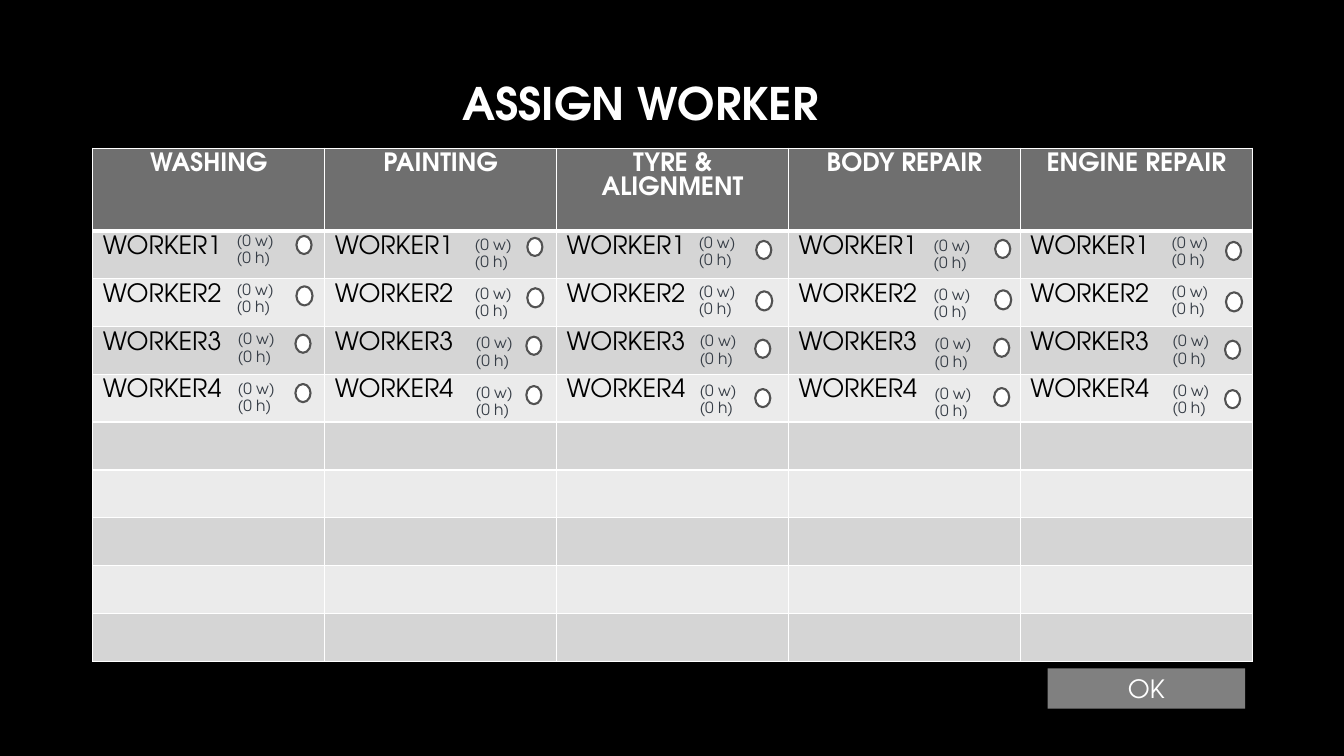
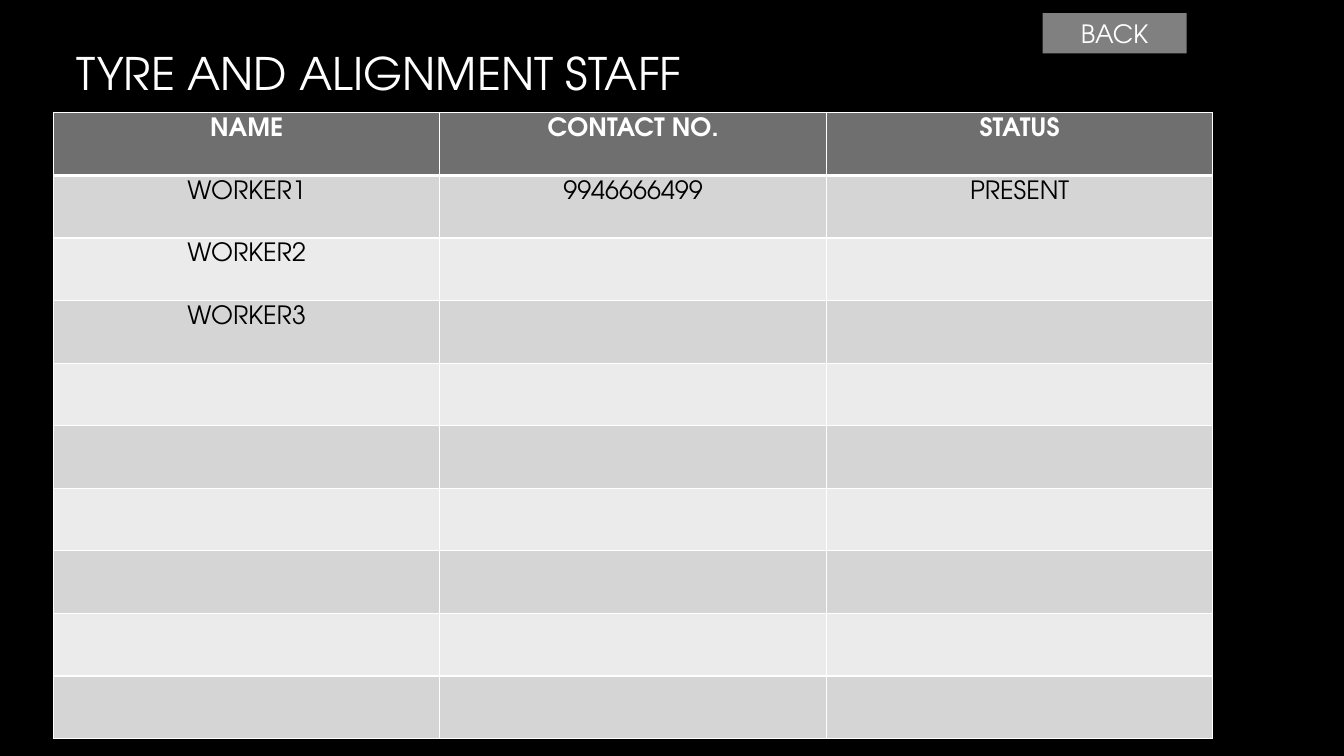
from dataclasses import dataclass

import pptx
import pptx.dml.color
import pptx.enum.shapes
import pptx.enum.text
import pptx.oxml
import pptx.oxml.ns
import pptx.util
from pptx.util import Inches

FONT = "TeX Gyre Adventor"
COLORS = {
    "background": "000000",
    "light": "FFFFFF",
    "dark": "000000",
    "header": "6F6F6F",
    "odd row": "D5D5D5",
    "even row": "EBEBEB",
    "button": "808080",
    "ring": "525252",
    "tally": "363D46",
}
ALIGN = pptx.enum.text.PP_ALIGN
MIDDLE = pptx.enum.text.MSO_ANCHOR.MIDDLE
SHAPES = pptx.enum.shapes.MSO_SHAPE


@dataclass
class Box:
    left: float
    top: float
    width: float
    height: float

    def lengths(self) -> tuple:
        return tuple(Inches(v) for v in (self.left, self.top, self.width, self.height))


@dataclass
class Grid:
    box: Box
    header_height: float
    rows: list[list[str]]
    row_count: int
    body_align: int


@dataclass
class WorkerColumn:
    """Where the tallies and the choice ring of one table column start."""
    job: str
    tally_left: float
    tally_top: float
    tally_width: float
    ring_left: float
    ring_top: float


@dataclass
class WorkerRow:
    """Offsets of one worker's marks from the column start."""
    name: str
    tally_dx: float
    tally_dy: float
    ring_dx: float
    ring_dy: float
    ring_width: float = 0.15
    ring_height: float = 0.18


COLUMNS = [
    WorkerColumn("WASHING", 2.25, 2.24, 0.87, 2.94, 2.34),
    WorkerColumn("PAINTING", 4.61, 2.28, 0.66, 5.23, 2.36),
    WorkerColumn("TYRE & ALIGNMENT", 6.83, 2.26, 0.66, 7.5, 2.39),
    WorkerColumn("BODY REPAIR", 9.16, 2.29, 0.66, 9.87, 2.38),
    WorkerColumn("ENGINE REPAIR", 11.52, 2.26, 0.66, 12.16, 2.4),
]
WORKERS = [
    WorkerRow("WORKER1", 0, 0, 0, 0),
    WorkerRow("WORKER2", 0, 0.49, 0, 0.5, 0.16, 0.19),
    WorkerRow("WORKER3", 0.01, 0.98, -0.01, 0.98),
    WorkerRow("WORKER4", 0.01, 1.47, -0.01, 1.47),
]
TALLIES = ["(0 w)", "(0 h)"]
TALLY_STEP = 0.17


def rgb(name: str) -> pptx.dml.color.RGBColor:
    return pptx.dml.color.RGBColor.from_string(COLORS[name])


def write(frame, text: str, size: float, color: str, align: int = ALIGN.LEFT,
          bold: bool = False) -> None:
    paragraph = frame.paragraphs[0]
    if text:
        paragraph.add_run().text = text
    paragraph.alignment = align
    paragraph.font.name = FONT
    paragraph.font.size = pptx.util.Pt(size)
    paragraph.font.bold = bold
    paragraph.font.color.rgb = rgb(color)


def add_titled_slide(deck, title: str, box: Box, align: int, bold: bool):
    slide = deck.slides.add_slide(deck.slide_layouts[5])
    heading = slide.shapes.title
    heading.left, heading.top, heading.width, heading.height = box.lengths()
    heading.text_frame.vertical_anchor = MIDDLE
    write(heading.text_frame, title, 32, "light", align, bold)
    return slide


def add_button(slide, label: str, box: Box) -> None:
    button = slide.shapes.add_shape(SHAPES.RECTANGLE, *box.lengths())
    button.shadow.inherit = False
    button.fill.solid()
    button.fill.fore_color.rgb = rgb("button")
    button.line.fill.background()
    button.text_frame.vertical_anchor = MIDDLE
    write(button.text_frame, label, 18, "light", ALIGN.CENTER)


def add_border(cell, side: str, points: float) -> None:
    namespace = pptx.oxml.ns.nsdecls("a")
    cell._tc.get_or_add_tcPr().append(pptx.oxml.parse_xml(
        f'<a:ln{side} {namespace} w="{int(pptx.util.Pt(points))}"><a:solidFill>'
        f'<a:srgbClr val="{COLORS["light"]}"/></a:solidFill></a:ln{side}>'))


def add_grid(slide, grid: Grid) -> None:
    column_count = len(grid.rows[0])
    table = slide.shapes.add_table(grid.row_count, column_count, *grid.box.lengths()).table
    body_height = (grid.box.height - grid.header_height) / (grid.row_count - 1)
    for column in table.columns:
        column.width = Inches(grid.box.width / column_count)
    for r, row in enumerate(table.rows):
        is_header = r == 0
        row.height = Inches(grid.header_height if is_header else body_height)
        fill = "header" if is_header else "odd row" if r % 2 else "even row"
        texts = grid.rows[r] if r < len(grid.rows) else []
        for c, cell in enumerate(row.cells):
            # The rule below the header is thicker than the others
            for side, points in (("L", 1), ("R", 1), ("T", 3 if r == 1 else 1),
                                 ("B", 3 if is_header else 1)):
                add_border(cell, side, points)
            cell.fill.solid()
            cell.fill.fore_color.rgb = rgb(fill)
            write(cell.text_frame, texts[c] if c < len(texts) else "", 18,
                  "light" if is_header else "dark",
                  ALIGN.CENTER if is_header else grid.body_align, is_header)


def add_ring(slide, box: Box) -> None:
    ring = slide.shapes.add_shape(SHAPES.FLOWCHART_CONNECTOR, *box.lengths())
    ring.shadow.inherit = False
    ring.fill.solid()
    ring.fill.fore_color.rgb = rgb("light")
    ring.line.color.rgb = rgb("ring")
    ring.line.width = pptx.util.Pt(1.5)


def add_tally(slide, text: str, box: Box) -> None:
    tally = slide.shapes.add_textbox(*box.lengths())
    tally.text_frame.word_wrap = True
    write(tally.text_frame, text, 11, "tally")


def build_assignment(deck) -> None:
    slide = add_titled_slide(deck, "ASSIGN WORKER", Box(1.25, 0.67, 10.2, 0.69),
                             ALIGN.CENTER, True)
    add_button(slide, "OK", Box(10.39, 6.63, 1.96, 0.4))
    rows = [[column.job for column in COLUMNS]]
    rows += [[worker.name] * len(COLUMNS) for worker in WORKERS]
    add_grid(slide, Grid(Box(0.92, 1.47, 11.5, 5.09), 0.82, rows, 10, ALIGN.LEFT))

    # Choice ring and tallies beside each worker
    for column in COLUMNS:
        for worker in WORKERS:
            add_ring(slide, Box(column.ring_left + worker.ring_dx,
                                column.ring_top + worker.ring_dy,
                                worker.ring_width, worker.ring_height))
            for line, text in enumerate(TALLIES):
                add_tally(slide, text, Box(
                    column.tally_left + worker.tally_dx,
                    column.tally_top + worker.tally_dy + line * TALLY_STEP,
                    column.tally_width, 0.3))


def build_staff(deck) -> None:
    slide = add_titled_slide(deck, "TYRE AND ALIGNMENT STAFF", Box(0.66, 0, 11.5, 1.45),
                             ALIGN.LEFT, False)
    rows = [["NAME", "CONTACT NO.", "STATUS"],
            ["WORKER1", "9946666499", "PRESENT"],
            ["WORKER2"],
            ["WORKER3"]]
    add_grid(slide, Grid(Box(0.53, 1.12, 11.5, 6.21), 0.62, rows, 10, ALIGN.CENTER))
    add_button(slide, "BACK", Box(10.34, 0.13, 1.43, 0.4))


def main() -> None:
    deck = pptx.Presentation()
    deck.slide_width, deck.slide_height = Inches(13.33), Inches(7.5)
    # Shared black background
    backdrop = deck.slide_master.background.fill
    backdrop.solid()
    backdrop.fore_color.rgb = rgb("background")
    build_assignment(deck)
    build_staff(deck)
    deck.save("out.pptx")


if __name__ == "__main__":
    main()
